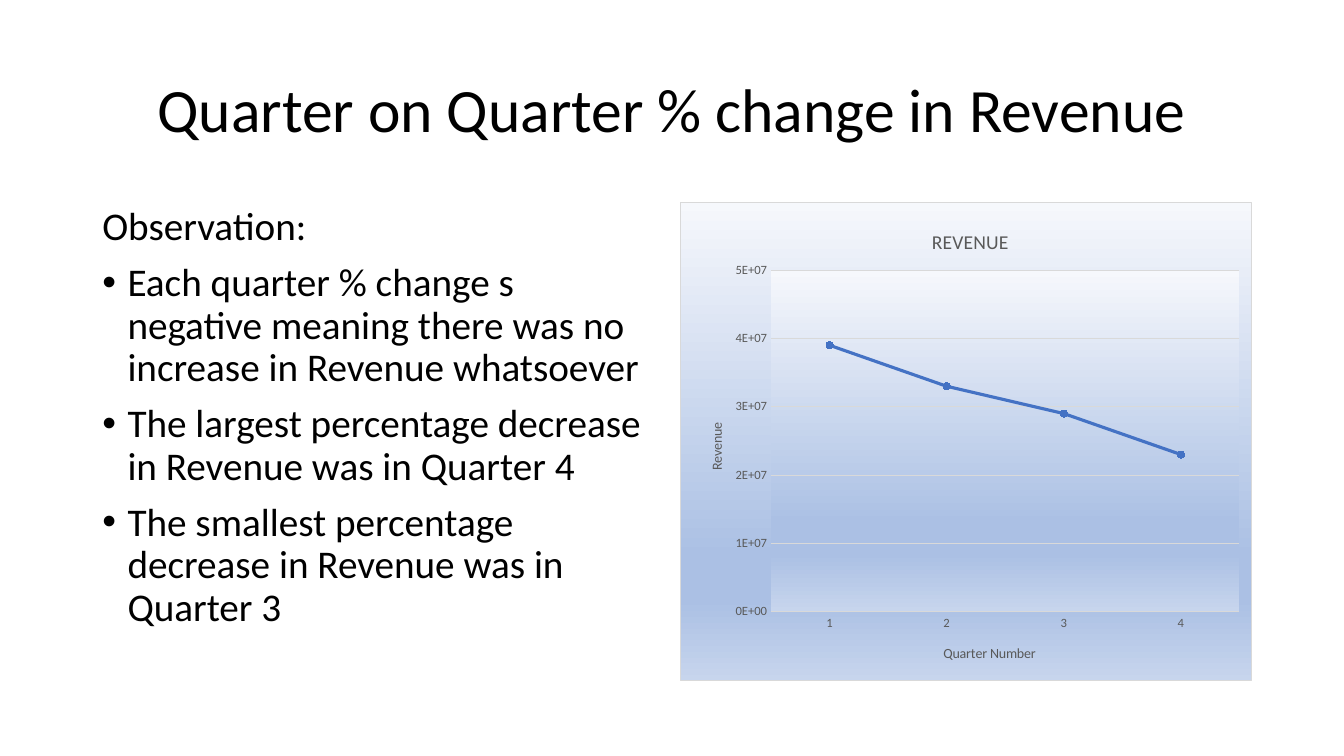
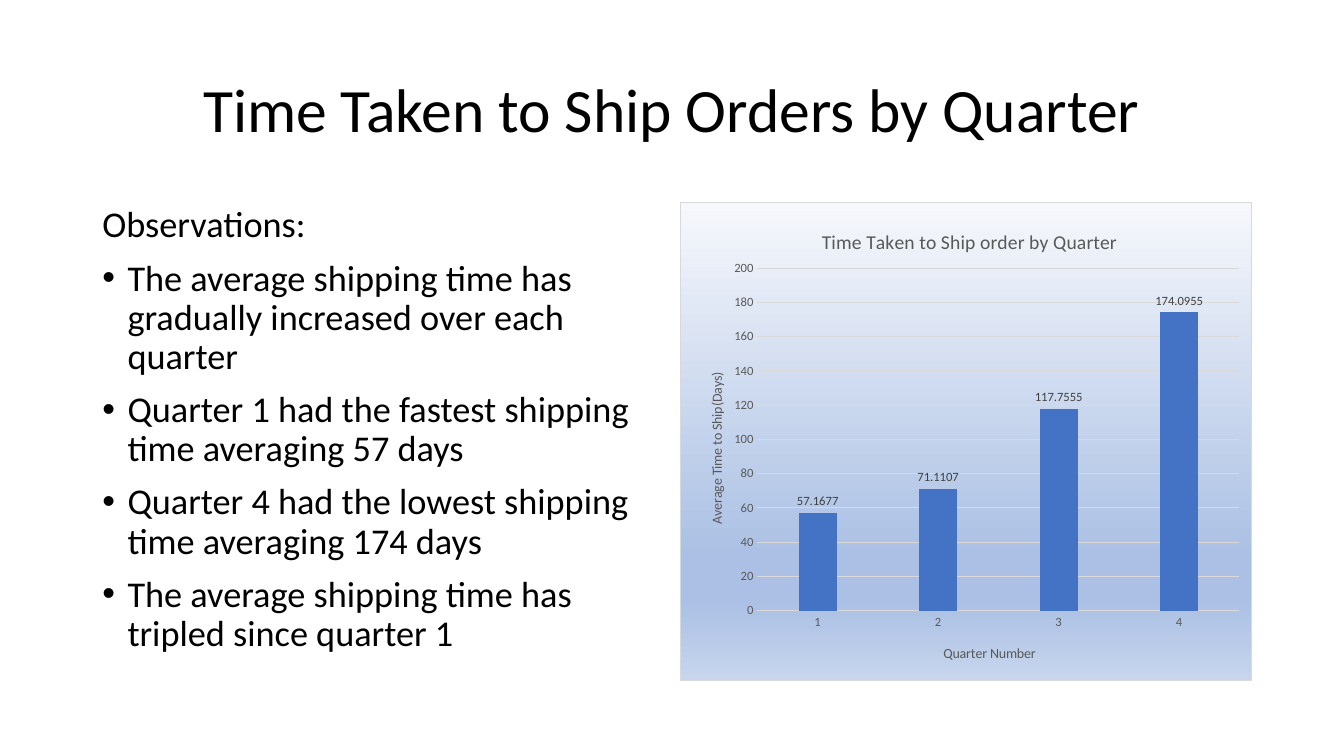
from lxml import etree
from pptx import Presentation
from pptx.chart.data import CategoryChartData
from pptx.dml.color import RGBColor
from pptx.enum.chart import (XL_CHART_TYPE, XL_LABEL_POSITION, XL_MARKER_STYLE,
                             XL_TICK_MARK)
from pptx.enum.text import MSO_ANCHOR, PP_ALIGN
from pptx.oxml import parse_xml
from pptx.oxml.ns import nsdecls, qn
from pptx.util import Pt

LINE, COLUMN = XL_CHART_TYPE.LINE_MARKERS_STACKED, XL_CHART_TYPE.COLUMN_CLUSTERED
CIRCLE, OUTSIDE = XL_MARKER_STYLE.CIRCLE, XL_LABEL_POSITION.OUTSIDE_END
NO_TICK = XL_TICK_MARK.NONE
CENTER, LEFT = PP_ALIGN.CENTER, PP_ALIGN.LEFT
MIDDLE, TOP = MSO_ANCHOR.MIDDLE, MSO_ANCHOR.TOP

# Shared look
PX = 9525
FONT = "Calibri"
BLACK, GREY, LABEL, RULE, BLUE = "000000", "595959", "404040", "D9D9D9", "4472C4"
GRADIENT = [(0, "F6F8FC"), (74, "ABC0E4"), (83, "ABC0E4"), (100, "C7D5ED")]
TITLE_BOX = (88, 38, 1104, 139)
BODY_BOX = (88, 192, 544, 457)
CHART_BOX = (648, 192, 544, 457)
INDENT = 24

# Content; places inside a chart are px from its top left corner
QUARTERS = ["1", "2", "3", "4"]
SLIDES = [
    dict(title="Quarter on Quarter % change in Revenue", size=28,
         heading="Observation:",
         bullets=["Each quarter % change s negative meaning there was no "
                  "increase in Revenue whatsoever",
                  "The largest percentage decrease in Revenue was in Quarter 4",
                  "The smallest percentage decrease in Revenue was in Quarter 3"],
         kind=LINE, series="REVENUE",
         values=[39000000, 33000000, 29000000, 23000000],
         top=50000000, step=10000000, number_format="0.E+00",
         chart_title=("REVENUE", (236, 22)),
         quarter_title=("Quarter Number", (248, 420)),
         value_title=("Revenue", (23, 208)),
         plot=(86, 65, 447, 326)),
    dict(title="Time Taken to Ship Orders by Quarter", size=25.9,
         heading="Observations:",
         bullets=["The average shipping time has gradually increased over each quarter",
                  "Quarter 1 had the fastest shipping time averaging 57 days",
                  "Quarter 4 had the lowest shipping time averaging 174 days",
                  "The average shipping time has tripled since quarter 1"],
         kind=COLUMN, series="Series 1",
         values=[57.1677, 71.1107, 117.7555, 174.0955],
         top=200, step=20, number_format="General",
         chart_title=("Time Taken to Ship order by Quarter", (131, 22)),
         quarter_title=("Quarter Number", (248, 420)),
         value_title=("Average Time to Ship(Days)", (23, 160)),
         plot=(73, 63, 460, 327)),
]


def color(value):
    return RGBColor.from_string(value)


def emu(box):
    return [length * PX for length in box]


def style_font(font, size, value):
    for key, setting in dict(name=FONT, size=Pt(size), bold=False).items():
        setattr(font, key, setting)
    font.color.rgb = color(value)


def style_line(line, value, width):
    line.color.rgb = color(value)
    line.width = Pt(width)


# Text
def add_text(slide, box, paragraphs, size, align=LEFT, anchor=TOP, before=0):
    frame = slide.shapes.add_textbox(*emu(box)).text_frame
    frame.word_wrap = True
    frame.vertical_anchor = anchor
    for index, (text, bulleted) in enumerate(paragraphs):
        paragraph = frame.paragraphs[0] if index == 0 else frame.add_paragraph()
        layout = dict(alignment=align, line_spacing=0.9, space_before=Pt(before))
        for key, setting in layout.items():
            setattr(paragraph, key, setting)
        run = paragraph.add_run()
        run.text = text
        style_font(run.font, size, BLACK)
        if bulleted:
            properties = paragraph._p.get_or_add_pPr()
            properties.set("marL", str(INDENT * PX))
            properties.set("indent", str(-INDENT * PX))
            etree.SubElement(properties, qn("a:buFont")).set("typeface", "Arial")
            etree.SubElement(properties, qn("a:buChar")).set("char", "•")


# Chart parts that need XML
def gradient_area(border=""):
    stops = "".join(f'<a:gs pos="{at * 1000}"><a:srgbClr val="{value}"/></a:gs>'
                    for at, value in GRADIENT)
    line = (f'<a:ln w="{PX}"><a:solidFill><a:srgbClr val="{border}"/></a:solidFill></a:ln>'
            if border else "<a:ln><a:noFill/></a:ln>")
    return parse_xml(f'<c:spPr {nsdecls("c", "a")}><a:gradFill><a:gsLst>{stops}</a:gsLst>'
                     f'<a:lin ang="5400000" scaled="0"/></a:gradFill>{line}</c:spPr>')


def place(part, position, index, inner=False):
    for old in part.findall(qn("c:layout")):
        part.remove(old)
    layout = etree.Element(qn("c:layout"))
    manual = etree.SubElement(layout, qn("c:manualLayout"))
    settings = [("layoutTarget", "inner")] if inner else []
    settings += [("xMode", "edge"), ("yMode", "edge")]
    settings += [(key, f"{length / whole:.4f}") for key, length, whole
                 in zip("xywh", position, CHART_BOX[2:] * 2)]
    for key, setting in settings:
        etree.SubElement(manual, qn("c:" + key)).set("val", setting)
    part.insert(index, layout)


def set_title(title, content, size, rotated=False):
    text, position = content
    frame = title.text_frame
    frame.text = text
    style_font(frame.paragraphs[0].runs[0].font, size, GREY)
    if rotated:
        body = frame._txBody.find(qn("a:bodyPr"))
        body.set("rot", "-5400000")
        body.set("vert", "horz")
    place(title._element, position, 1)


# Chart
def add_chart(slide, content):
    data = CategoryChartData()
    data.categories = QUARTERS
    data.add_series(content["series"], content["values"])
    chart = slide.shapes.add_chart(content["kind"], *emu(CHART_BOX), data).chart
    style_font(chart.font, 10, BLACK)
    chart.has_legend = False
    chart.has_title = True
    set_title(chart.chart_title, content["chart_title"], 14)

    quarter_axis, value_axis = chart.category_axis, chart.value_axis
    for axis, name in ((quarter_axis, "quarter_title"), (value_axis, "value_title")):
        axis.major_tick_mark = axis.minor_tick_mark = NO_TICK
        style_font(axis.tick_labels.font, 9, GREY)
        set_title(axis.axis_title, content[name], 10, axis is value_axis)
    style_line(quarter_axis.format.line, RULE, 0.75)
    value_axis.format.line.fill.background()
    style_line(value_axis.major_gridlines.format.line, RULE, 0.75)
    scale = dict(minimum_scale=0, maximum_scale=content["top"], major_unit=content["step"])
    for key, setting in scale.items():
        setattr(value_axis, key, setting)
    value_axis.tick_labels.number_format = content["number_format"]
    value_axis.tick_labels.number_format_is_linked = False

    space = chart._chartSpace
    space.find(qn("c:chart")).addnext(gradient_area(RULE))
    plot_area = space.find(".//" + qn("c:plotArea"))
    place(plot_area, content["plot"], 0, inner=True)

    plot = chart.plots[0]
    plot.vary_by_categories = False
    series = plot.series[0]
    if content["kind"] == LINE:
        plot_area.append(gradient_area())
        series.smooth = False
        style_line(series.format.line, BLUE, 2.25)
        marker = series.marker
        marker.style, marker.size = CIRCLE, 5
        marker.format.fill.solid()
        marker.format.fill.fore_color.rgb = color(BLUE)
        style_line(marker.format.line, BLUE, 0.75)
    else:
        plot.gap_width, plot.overlap = 219, -27
        series.format.fill.solid()
        series.format.fill.fore_color.rgb = color(BLUE)
        labels = series.data_labels
        labels.show_value = True
        labels.position = OUTSIDE
        style_font(labels.font, 9, LABEL)


def main():
    deck = Presentation()
    deck.slide_width, deck.slide_height = emu((1280, 720))
    for content in SLIDES:
        slide = deck.slides.add_slide(deck.slide_layouts[6])
        add_text(slide, TITLE_BOX, [(content["title"], False)], 44, CENTER, MIDDLE)
        observations = [(content["heading"], False)]
        observations += [(text, True) for text in content["bullets"]]
        add_text(slide, BODY_BOX, observations, content["size"], before=10)
        add_chart(slide, content)
    deck.save("out.pptx")


if __name__ == "__main__":
    main()
